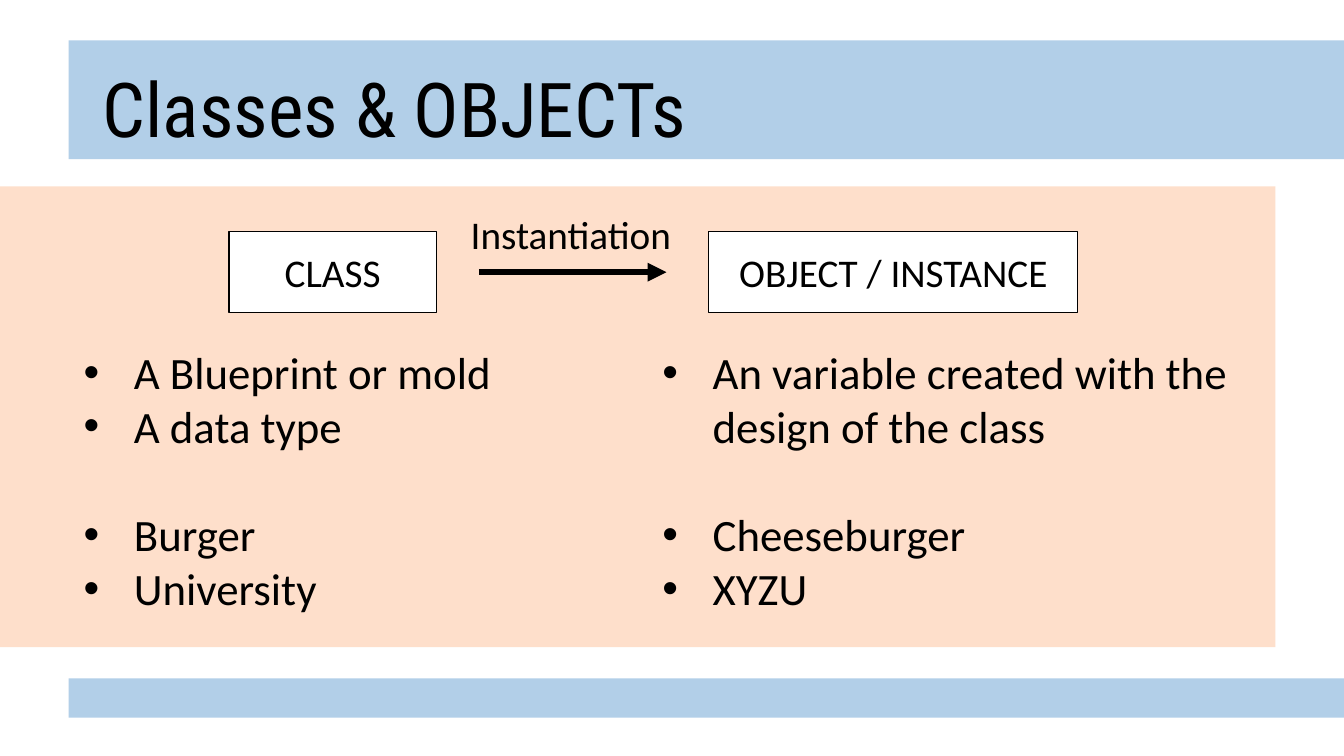
from lxml.etree import SubElement
from pptx import Presentation
from pptx.dml.color import RGBColor
from pptx.enum.shapes import MSO_CONNECTOR, MSO_SHAPE
from pptx.enum.text import MSO_ANCHOR, MSO_AUTO_SIZE, PP_ALIGN
from pptx.oxml.ns import qn
from pptx.util import Inches, Pt


def color(code):
    return RGBColor.from_string(code)


class Deck:
    ink, paper = "000000", "FFFFFF"
    blue, peach = "1E73BD", "FC7013"
    head, body = "Roboto Condensed", "Calibri"

    def __init__(self):
        self.show = Presentation()
        self.show.slide_width = Inches(13.33)
        self.show.slide_height = Inches(7.5)
        self.slide = self.show.slides.add_slide(self.show.slide_layouts[5])
        self.shapes = self.slide.shapes

    def style(self, para, text, size, font=None):
        para.text = text
        para.font.name = font or self.body
        para.font.size = Pt(size)
        para.font.color.rgb = color(self.ink)

    def rect(self, place, fill):
        shape = self.shapes.add_shape(MSO_SHAPE.RECTANGLE, *map(Inches, place))
        shape.shadow.inherit = False
        shape.fill.solid()
        shape.fill.fore_color.rgb = color(fill)
        return shape

    def band(self, place, fill, alpha):
        shape = self.rect(place, fill)
        shape.line.fill.background()
        tone = shape._element.spPr.find(qn("a:solidFill"))[0]
        SubElement(tone, qn("a:alpha"), val=str(alpha * 1000))

    def title(self, text, place):
        shape = self.shapes.title
        shape.left, shape.top, shape.width, shape.height = map(Inches, place)
        frame = shape.text_frame
        frame.auto_size = MSO_AUTO_SIZE.NONE
        frame.vertical_anchor = MSO_ANCHOR.MIDDLE
        para = frame.paragraphs[0]
        self.style(para, text, 54, self.head)
        para.alignment = PP_ALIGN.LEFT
        para.line_spacing = 0.9
        self.shapes._spTree.append(shape._element)

    def box(self, text, place):
        shape = self.rect(place, self.paper)
        shape.line.color.rgb = color(self.ink)
        shape.line.width = Pt(1)
        frame = shape.text_frame
        frame.vertical_anchor = MSO_ANCHOR.MIDDLE
        para = frame.paragraphs[0]
        self.style(para, text, 28)
        para.alignment = PP_ALIGN.CENTER

    def arrow(self, *ends):
        line = self.shapes.add_connector(
            MSO_CONNECTOR.STRAIGHT, *map(Inches, ends))
        line.line.color.rgb = color(self.ink)
        line.line.width = Pt(4.5)
        SubElement(line.line._get_or_add_ln(), qn("a:tailEnd"), type="triangle")
        SubElement(line._element.spPr, qn("a:effectLst"))

    def frame(self, place, wrap=False):
        frame = self.shapes.add_textbox(*map(Inches, place)).text_frame
        frame.word_wrap = wrap
        frame.auto_size = MSO_AUTO_SIZE.SHAPE_TO_FIT_TEXT
        return frame

    def label(self, text, place):
        self.style(self.frame(place).paragraphs[0], text, 28)

    def bullets(self, groups, place):
        frame = self.frame(place, True)
        para = frame.paragraphs[0]
        for g, group in enumerate(groups):
            for i, text in enumerate(group):
                if g or i:
                    para = frame.add_paragraph()
                self.style(para, text, 32)
                if g and not i:
                    para.space_before = Pt(39)
                props = para._p.get_or_add_pPr()
                props.set("marL", str(Inches(0.5)))
                props.set("indent", str(-Inches(0.5)))
                mark = props.find(qn("a:defRPr"))
                for tag, key, value in (("a:buFont", "typeface", "Arial"),
                                        ("a:buChar", "char", "•")):
                    mark.addprevious(SubElement(props, qn(tag), {key: value}))


def main():
    deck = Deck()
    deck.band((0.68, 6.73, 12.65, 0.39), deck.blue, 34)
    deck.band((0, 1.85, 12.65, 4.57), deck.peach, 22)
    deck.band((0.68, 0.4, 12.65, 1.18), deck.blue, 34)
    deck.title("Classes & OBJECTs", (0.92, 0.4, 11.5, 1.45))
    deck.box("CLASS", (2.27, 2.3, 2.06, 0.8))
    deck.arrow(4.75, 2.7, 6.61, 2.7)
    deck.box("OBJECT / INSTANCE", (7.03, 2.3, 3.66, 0.8))
    deck.label("Instantiation", (4.57, 2.04, 2.21, 0.57))
    deck.bullets((("A Blueprint or mold", "A data type"),
                  ("Burger", "University")), (0.73, 3.37, 4.29, 2.79))
    deck.bullets((("An variable created with the design of the class",),
                  ("Cheeseburger", "XYZU")), (6.47, 3.37, 5.81, 2.79))
    deck.show.save("out.pptx")


if __name__ == "__main__":
    main()
